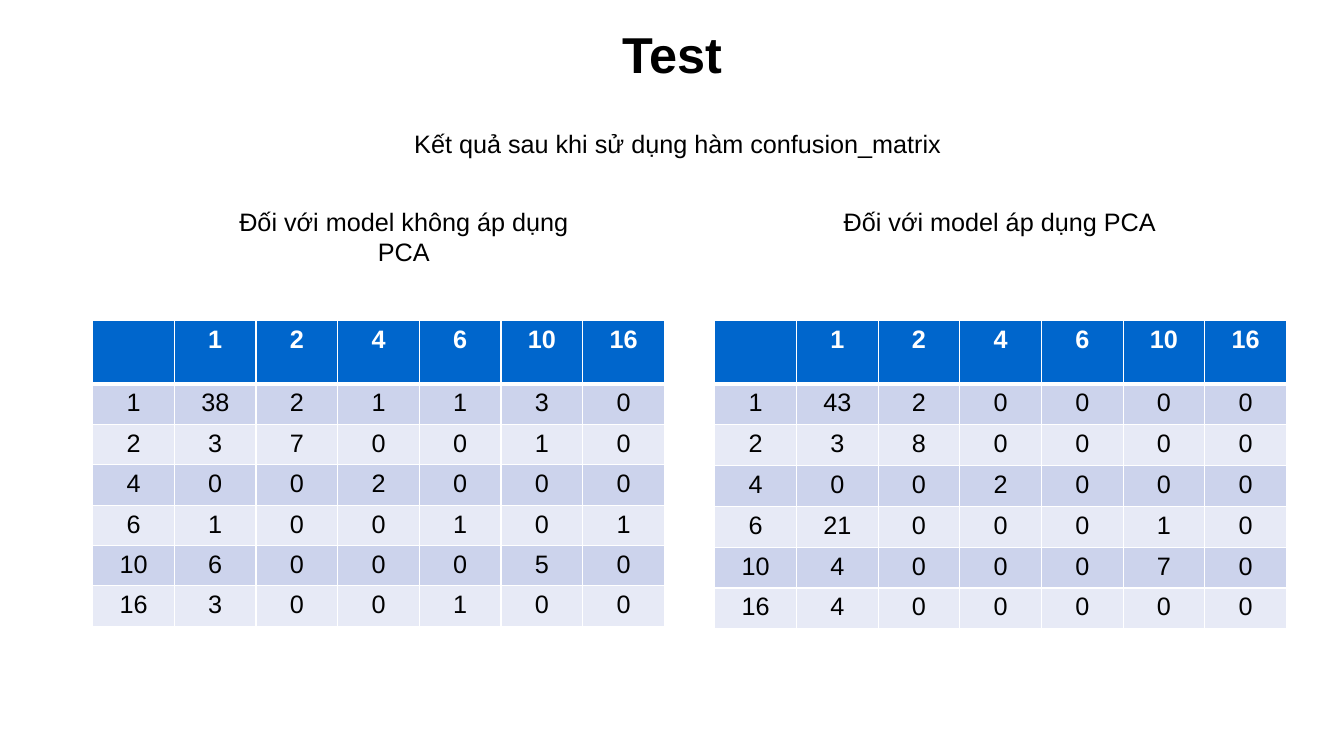
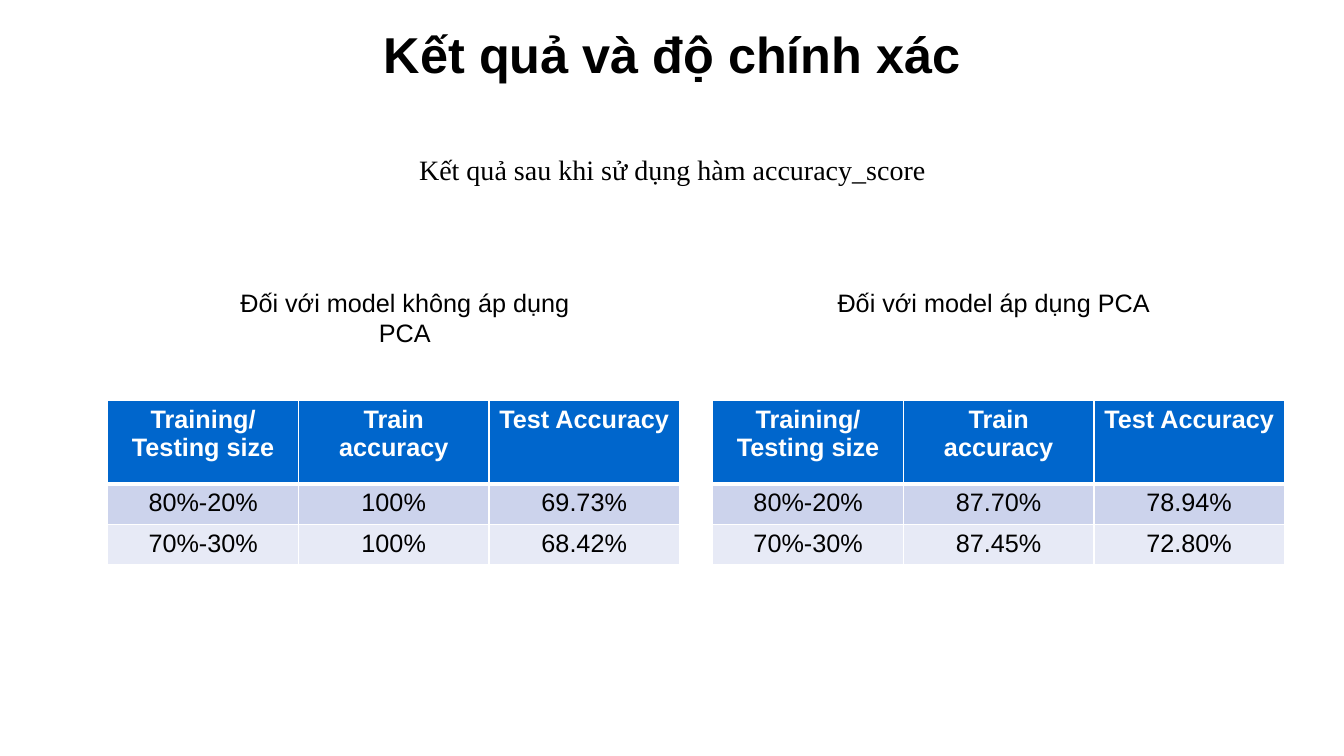
from pptx import Presentation
from pptx.dml.color import RGBColor
from pptx.enum.text import MSO_ANCHOR, PP_ALIGN
from pptx.oxml.ns import qn
from pptx.util import Inches, Pt
from lxml.etree import SubElement

COLORS = {
    "text": "000000",
    "header": "0066CC",
    "header_text": "FFFFFF",
    "border": "FFFFFF",
    "odd_row": "CCD3EC",
    "even_row": "E7EAF6",
}
FONT = "Arial"
SERIF_FONT = "Times New Roman"
TITLE_BOX = (0.67, 0.21, 12, 0.64)
TABLE_WIDTH = 5.67
CAPTION_WIDTH = 4.45
CAPTIONS = ("Đối với model không áp dụng PCA", "Đối với model áp dụng PCA")

# Confusion matrices: rows and columns follow the class labels
CLASSES = [1, 2, 4, 6, 10, 16]
MATRIX_PLAIN = [
    [38, 2, 1, 1, 3, 0],
    [3, 7, 0, 0, 1, 0],
    [0, 0, 2, 0, 0, 0],
    [1, 0, 0, 1, 0, 1],
    [6, 0, 0, 0, 5, 0],
    [3, 0, 0, 1, 0, 0],
]
MATRIX_PCA = [
    [43, 2, 0, 0, 0, 0],
    [3, 8, 0, 0, 0, 0],
    [0, 0, 2, 0, 0, 0],
    [21, 0, 0, 0, 1, 0],
    [4, 0, 0, 0, 7, 0],
    [4, 0, 0, 0, 0, 0],
]

# Accuracy by split
ACCURACY_HEADER = ["Training/Testing size", "Train accuracy", "Test Accuracy"]
ACCURACY_PLAIN = [["80%-20%", "100%", "69.73%"], ["70%-30%", "100%", "68.42%"]]
ACCURACY_PCA = [["80%-20%", "87.70%", "78.94%"], ["70%-30%", "87.45%", "72.80%"]]


def write_text(paragraph, text, size=18, font=FONT, color="text", bold=False,
               align=PP_ALIGN.CENTER):
    paragraph.alignment = align
    run = paragraph.add_run()
    run.text = text
    run.font.size = Pt(size)
    run.font.name = font
    run.font.bold = bold
    run.font.color.rgb = RGBColor.from_string(COLORS[color])


def add_titled_slide(presentation, title):
    slide = presentation.slides.add_slide(presentation.slide_layouts[5])
    shape = slide.shapes.title
    shape.left, shape.top, shape.width, shape.height = map(Inches, TITLE_BOX)
    shape.text_frame.vertical_anchor = MSO_ANCHOR.MIDDLE
    write_text(shape.text_frame.paragraphs[0], title, size=36, bold=True)
    return slide


def add_label(slide, text, left, top, width, height=0.4, **style):
    box = slide.shapes.add_textbox(*map(Inches, (left, top, width, height)))
    box.text_frame.word_wrap = True
    paragraph = box.text_frame.paragraphs[0]
    write_text(paragraph, text, **style)
    return paragraph


def add_caption(slide, text, left, top):
    paragraph = add_label(slide, text, left, top, CAPTION_WIDTH)
    paragraph.level = 1
    properties = paragraph._p.get_or_add_pPr()
    properties.set("marL", str(Inches(0.5)))
    properties.set("indent", "0")


def set_borders(cell, top=1, bottom=1):
    properties = cell._tc.get_or_add_tcPr()
    for side, width in (("L", 1), ("R", 1), ("T", top), ("B", bottom)):
        line = SubElement(properties, qn(f"a:ln{side}"), w=str(Pt(width)))
        fill = SubElement(line, qn("a:solidFill"))
        SubElement(fill, qn("a:srgbClr"), val=COLORS["border"])


def add_data_table(slide, rows, left, top, height, header_height):
    frame = slide.shapes.add_table(
        len(rows), len(rows[0]), *map(Inches, (left, top, TABLE_WIDTH, height)))
    table = frame.table
    table.horz_banding = False
    for column in table.columns:
        column.width = Inches(TABLE_WIDTH / len(rows[0]))
    body_height = (height - header_height) / (len(rows) - 1)
    for row_index, values in enumerate(rows):
        is_header = row_index == 0
        table.rows[row_index].height = Inches(header_height if is_header else body_height)
        fill = "header" if is_header else "odd_row" if row_index % 2 else "even_row"
        for column_index, value in enumerate(values):
            cell = table.cell(row_index, column_index)
            # The thick rule lies between the header and the first body row
            set_borders(cell, top=3 if row_index == 1 else 1, bottom=3 if is_header else 1)
            cell.fill.solid()
            cell.fill.fore_color.rgb = RGBColor.from_string(COLORS[fill])
            if value != "":
                write_text(cell.text_frame.paragraphs[0], str(value), bold=is_header,
                           color="header_text" if is_header else "text")


def matrix_rows(matrix):
    return [["", *CLASSES]] + [[label, *counts] for label, counts in zip(CLASSES, matrix)]


def build_matrix_slide(presentation):
    slide = add_titled_slide(presentation, "Test")
    add_label(slide, "Kết quả sau khi sử dụng hàm confusion_matrix", 4.01, 1.22, 5.62,
              align=PP_ALIGN.LEFT)
    panels = ((MATRIX_PLAIN, 1.53, 0.92, 3.03), (MATRIX_PCA, 7.44, 7.09, 3.06))
    for caption, (matrix, caption_left, table_left, height) in zip(CAPTIONS, panels):
        add_caption(slide, caption, caption_left, 2)
        add_data_table(slide, matrix_rows(matrix), table_left, 3.18, height, 0.63)


def build_accuracy_slide(presentation):
    slide = add_titled_slide(presentation, "Kết quả và độ chính xác")
    add_label(slide, "Kết quả sau khi sử dụng hàm accuracy_score", 3.89, 1.46, 5.56, 0.44,
              size=20, font=SERIF_FONT)
    panels = ((ACCURACY_PLAIN, 1.54, 1.07), (ACCURACY_PCA, 7.38, 7.07))
    for caption, (scores, caption_left, table_left) in zip(CAPTIONS, panels):
        add_caption(slide, caption, caption_left, 2.8)
        add_data_table(slide, [ACCURACY_HEADER] + scores, table_left, 3.97, 1.63, 0.83)


def main():
    presentation = Presentation()
    presentation.slide_width = Inches(13.33)
    presentation.slide_height = Inches(7.5)
    build_matrix_slide(presentation)
    build_accuracy_slide(presentation)
    presentation.save("out.pptx")


if __name__ == "__main__":
    main()
